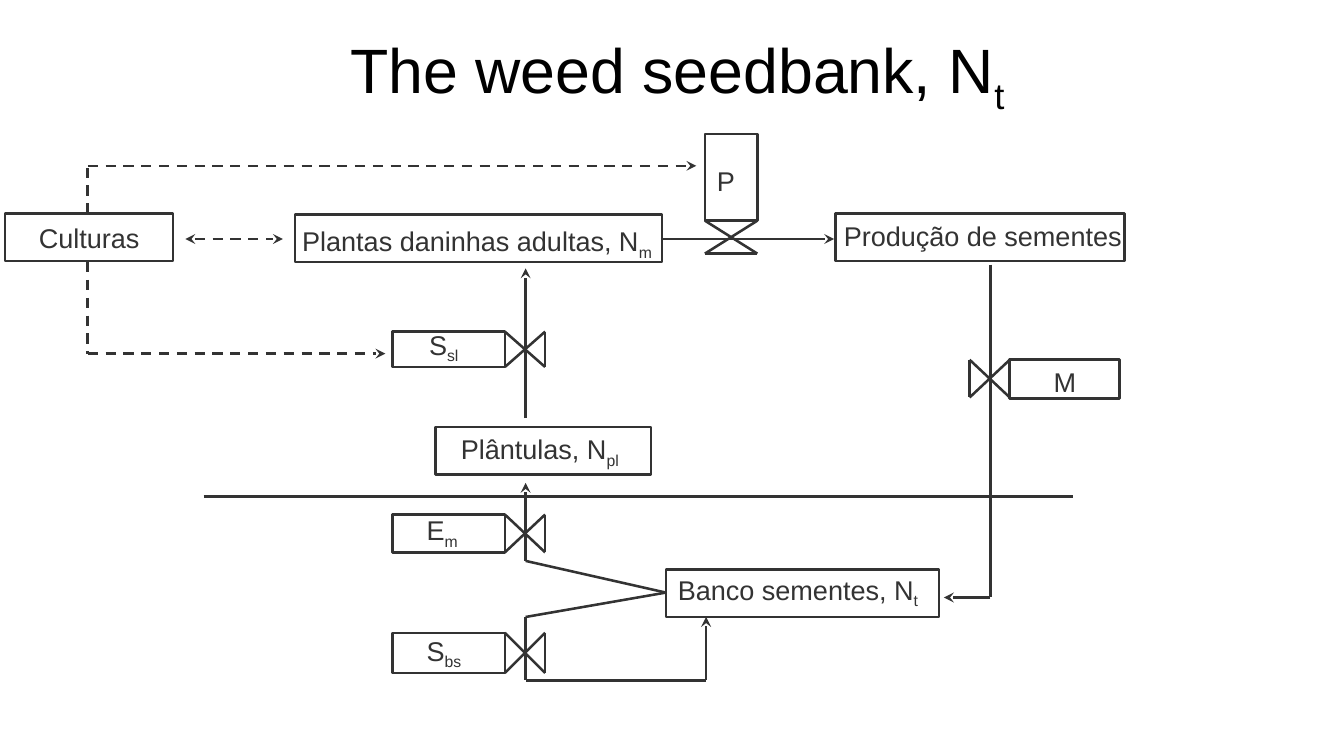
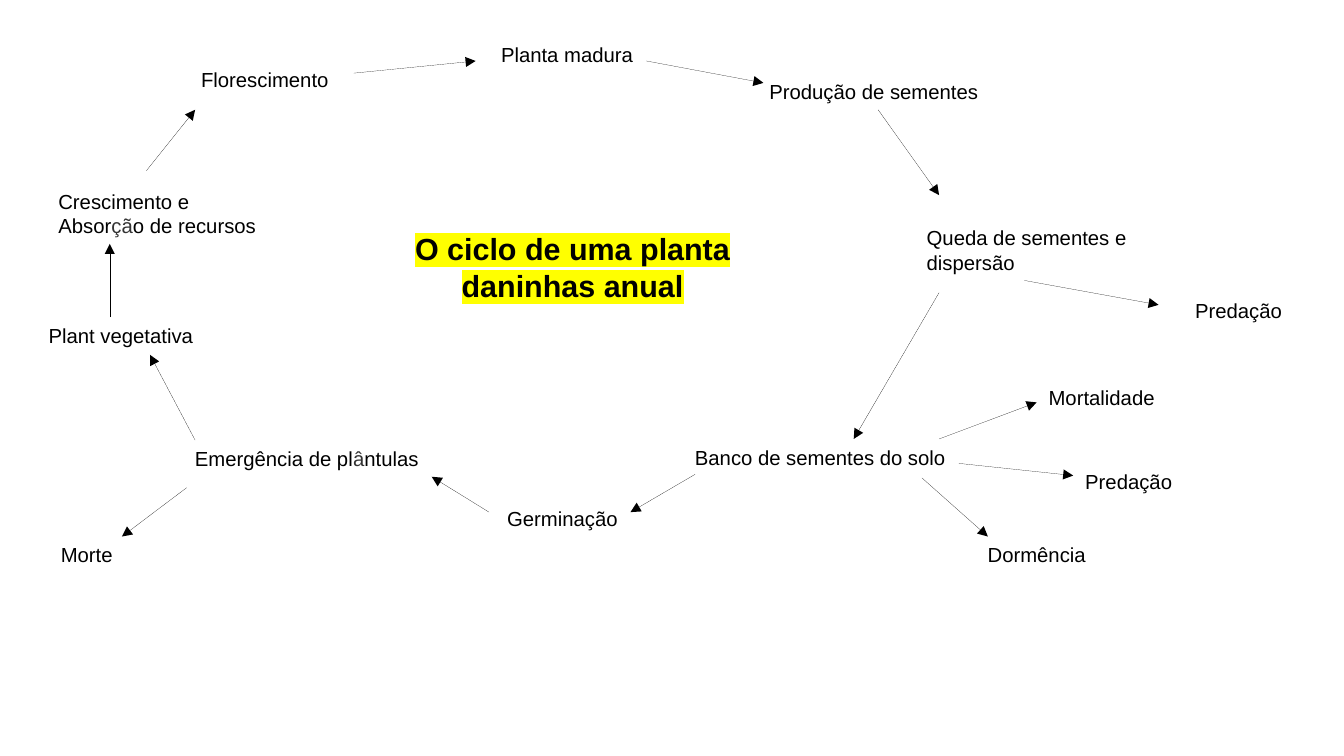
from dataclasses import dataclass
from itertools import pairwise
from lxml.etree import SubElement
from pptx import Presentation
from pptx.dml.color import RGBColor
from pptx.enum.dml import MSO_LINE
from pptx.enum.shapes import MSO_CONNECTOR, MSO_SHAPE
from pptx.enum.text import MSO_ANCHOR, MSO_AUTO_SIZE, PP_ALIGN
from pptx.oxml.ns import qn
from pptx.util import Inches, Pt


@dataclass(frozen=True)
class Theme:
    font: str = "Arial"
    black: str = "000000"
    gray: str = "333333"
    mark: str = "FFFF00"
    title: int = 37
    head: int = 18
    label: int = 16
    note: int = 12
    stroke: float = 1.5
    hair: float = 0
    cell: float = 0.1  # one grid column or row, in inches


class Deck:
    """Style and current slide; every length is in grid columns and rows."""

    def __init__(self, theme, cols, rows):
        self.theme = theme
        self.file = Presentation()
        self.file.slide_width = self.unit(cols)
        self.file.slide_height = self.unit(rows)
        self.slide = None

    def unit(self, count):
        return Inches(round(count * self.theme.cell, 3))

    def units(self, *counts):
        return [self.unit(count) for count in counts]

    def page(self):
        self.slide = self.file.slides.add_slide(self.file.slide_layouts[6])

    def run(self, para, text, size, color, bold=False, sub=False, mark=None):
        run = para.add_run()
        run.text = text
        run.font.name, run.font.size = self.theme.font, Pt(size)
        run.font.color.rgb = RGBColor.from_string(color)
        if bold:
            run.font.bold = True
        props = run._r.get_or_add_rPr()
        if sub:
            props.set("baseline", "-25000")
        if mark:
            light = SubElement(props, qn("a:highlight"))
            SubElement(light, qn("a:srgbClr")).set("val", mark)
            props.find(qn("a:solidFill")).addnext(light)

    def field(self, x, y, w, h):
        frame = self.slide.shapes.add_textbox(*self.units(x, y, w, h)).text_frame
        frame.word_wrap = True
        frame.auto_size = MSO_AUTO_SIZE.SHAPE_TO_FIT_TEXT
        return frame

    def tight(self, x, y, w, h):
        """Left-aligned field whose right inset is left free for the text."""
        frame = self.field(x, y, w, h)
        frame.margin_right = 0
        return frame

    def title(self, x, y, w, h, text, low):
        frame = self.field(x, y, w, h)
        frame.auto_size = MSO_AUTO_SIZE.NONE
        frame.vertical_anchor = MSO_ANCHOR.MIDDLE
        frame.margin_top, frame.margin_bottom = Pt(7), 0
        para = frame.paragraphs[0]
        para.alignment, para.space_before = PP_ALIGN.CENTER, Pt(10)
        self.run(para, text, self.theme.title, self.theme.black)
        self.run(para, low, self.theme.title, self.theme.black, sub=True)

    def label(self, x, y, w, text, low=""):
        frame = self.tight(x, y, w, 4.1 if low else 3.7)
        para = frame.paragraphs[0]
        self.run(para, text, self.theme.label, self.theme.gray)
        if low:
            self.run(para, low, self.theme.label, self.theme.gray, sub=True)

    def note(self, x, y, w, *lines):
        """Small text; each line is a list of runs, every second one gray."""
        frame = self.tight(x, y, w, 1.1 + 1.8 * len(lines))
        tones = self.theme.black, self.theme.gray
        for i, line in enumerate(lines):
            para = frame.add_paragraph() if i else frame.paragraphs[0]
            for j, text in enumerate(line):
                self.run(para, text, self.theme.note, tones[j % 2])

    def banner(self, x, y, w, h, *lines):
        frame = self.field(x, y, w, h)
        for i, line in enumerate(lines):
            para = frame.add_paragraph() if i else frame.paragraphs[0]
            para.alignment = PP_ALIGN.CENTER
            self.run(para, line, self.theme.head, self.theme.black,
                     bold=True, mark=self.theme.mark)

    def box(self, x, y, w, h):
        box = self.slide.shapes.add_shape(MSO_SHAPE.RECTANGLE,
                                          *self.units(x, y, w, h))
        box.shadow.inherit = False
        box.fill.background()
        box.line.color.rgb = RGBColor.from_string(self.theme.gray)
        box.line.width = Pt(self.theme.stroke)

    def line(self, start, end, color, width, dash=False, head=None, tail=None):
        line = self.slide.shapes.add_connector(
            MSO_CONNECTOR.STRAIGHT, *self.units(*start, *end))
        line.line.color.rgb = RGBColor.from_string(color)
        if dash:
            line.line.dash_style = MSO_LINE.DASH
        props = line.element.spPr
        pen = props.find(qn("a:ln"))
        pen.set("w", str(int(Pt(width))))  # a zero width must be written out
        for tag, kind in (("a:headEnd", head), ("a:tailEnd", tail)):
            if kind:
                SubElement(pen, qn(tag)).set("type", kind)
        SubElement(props, qn("a:effectLst"))

    def route(self, *stops, dash=False, head=None, tail=None):
        """Straight legs through the stops; the tail is on the last leg."""
        for start, end in pairwise(stops):
            self.line(start, end, self.theme.gray, self.theme.stroke, dash,
                      head if start == stops[0] else None,
                      tail if end == stops[-1] else None)

    def valve(self, x, y, far, low, upright=False):
        """Crossed lines, closed on the far side."""
        self.route((x, y), (far, low))
        self.route((x, low), (far, y))
        self.route((x if upright else far, low if upright else y), (far, low))

    def arrow(self, *ends):
        self.line(ends[:2], ends[2:], self.theme.black, self.theme.hair,
                  tail="triangle")


deck = Deck(Theme(), 110.2, 62)

# Slide 1: seedbank flow
deck.page()
deck.title(4.5, 2.1, 102.1, 6.9, "The weed seedbank, N", "t")
deck.route((16.7, 40.7), (88, 40.7))

# Stocks: left, top, width
for spot in ((35.7, 35, 17.7), (0.4, 17.5, 13.8), (54.6, 46.7, 22.4),
             (68.5, 17.5, 23.7), (24.2, 17.6, 30.1)):
    deck.box(*spot, 3.9)

# Rates: a box with a valve beside or below it
deck.box(57.8, 11, 4.3, 7.1)
deck.valve(57.8, 18.1, 62.1, 20.8, upright=True)
deck.box(82.8, 29.5, 9, 3.2)
deck.valve(82.8, 29.5, 79.5, 32.6)
for top, high in ((51.9, 3.3), (42.2, 3.1), (27.2, 2.9)):
    deck.box(32.2, top, 9.2, high)
    deck.valve(41.4, top, 44.7, top + high)

# Flows
tip = "stealth"
stem = 43.1
deck.route((stem, 34.3), (stem, 22), tail=tip)
deck.route((54.2, 19.6), (68.4, 19.6), tail=tip)
deck.route((81.2, 21.7), (81.2, 49), (77.4, 49), tail=tip)
deck.route((54.6, 48.6), (stem, 46), (stem, 39.6), tail=tip)
deck.route((54.6, 48.6), (stem, 50.6), (stem, 55.8), (57.9, 55.8),
           (57.9, 50.6), tail=tip)

# Crop effects
deck.route((15.2, 19.6), (23.2, 19.6), dash=True, head=tip, tail=tip)
deck.route((7.2, 21.5), (7.2, 29), (31.6, 29), dash=True, tail=tip)
deck.route((7.2, 17.5), (7.2, 13.6), (57.1, 13.6), dash=True, tail=tip)

# Names of stocks and rates
for item in ((54.6, 46.5, 21.7, "Banco sementes, N", "t"),
             (34.2, 26.4, 4.4, "S", "sl"),
             (34, 41.6, 4.5, "E", "m"),
             (23.8, 17.9, 30.6, "Plantas daninhas adultas, N", "m"),
             (36.8, 35, 14.9, "Plântulas, N", "pl"),
             (34, 51.5, 4.8, "S", "bs"),
             (2.2, 17.7, 13.7, "Culturas"),
             (85.4, 29.5, 3.8, "M"),
             (68.2, 17.5, 24.8, "Produção de sementes"),
             (57.8, 13, 3.5, "P")):
    deck.label(*item)

# Slide 2: life cycle
deck.page()
deck.banner(32.9, 18.4, 28.1, 6.6, "O ciclo de uma planta", "daninhas anual")

# Stages
for item in ((15.5, 5, 12.5, ["Florescimento"]),
             (40.1, 3, 12.9, ["Planta madura"]),
             (3.8, 15, 18.2, ["Crescimento e"],
              ["Absor", "çã", "o de recursos"]),
             (3, 26, 13.9, ["Plant vegetativa"]),
             (15, 36.1, 20.4, ["Emergência de pl", "â", "ntulas"]),
             (4, 44, 6.2, ["Morte"]),
             (40.6, 41, 11.1, ["Germinação"]),
             (56, 36, 22.6, ["Banco de sementes do solo"]),
             (85, 31.1, 10.7, ["Mortalidade"]),
             (88, 38, 11, ["Predação"]),
             (80, 44, 10, ["Dormência"]),
             (75, 18, 18.9, ["Queda de sementes e"], ["dispersão"]),
             (62.1, 6, 19.2, ["Produção de sementes"]),
             (97, 24, 9.1, ["Predação"])):
    deck.note(*item)

# Steps between stages
for ends in ((12, 14, 16, 9), (29, 6, 39, 5), (53, 5, 62.6, 6.8),
             (72, 9, 77, 16), (84, 23, 95, 25), (77, 24, 70, 36),
             (77, 36, 85, 33), (78.6, 38, 88, 39), (75.6, 39.2, 81, 44),
             (57, 38.9, 51.7, 42), (40.1, 42, 35.4, 39.1),
             (16, 36.1, 12.3, 29.1), (9, 26, 9, 20), (15.3, 40, 10, 44)):
    deck.arrow(*ends)

deck.file.save("out.pptx")
